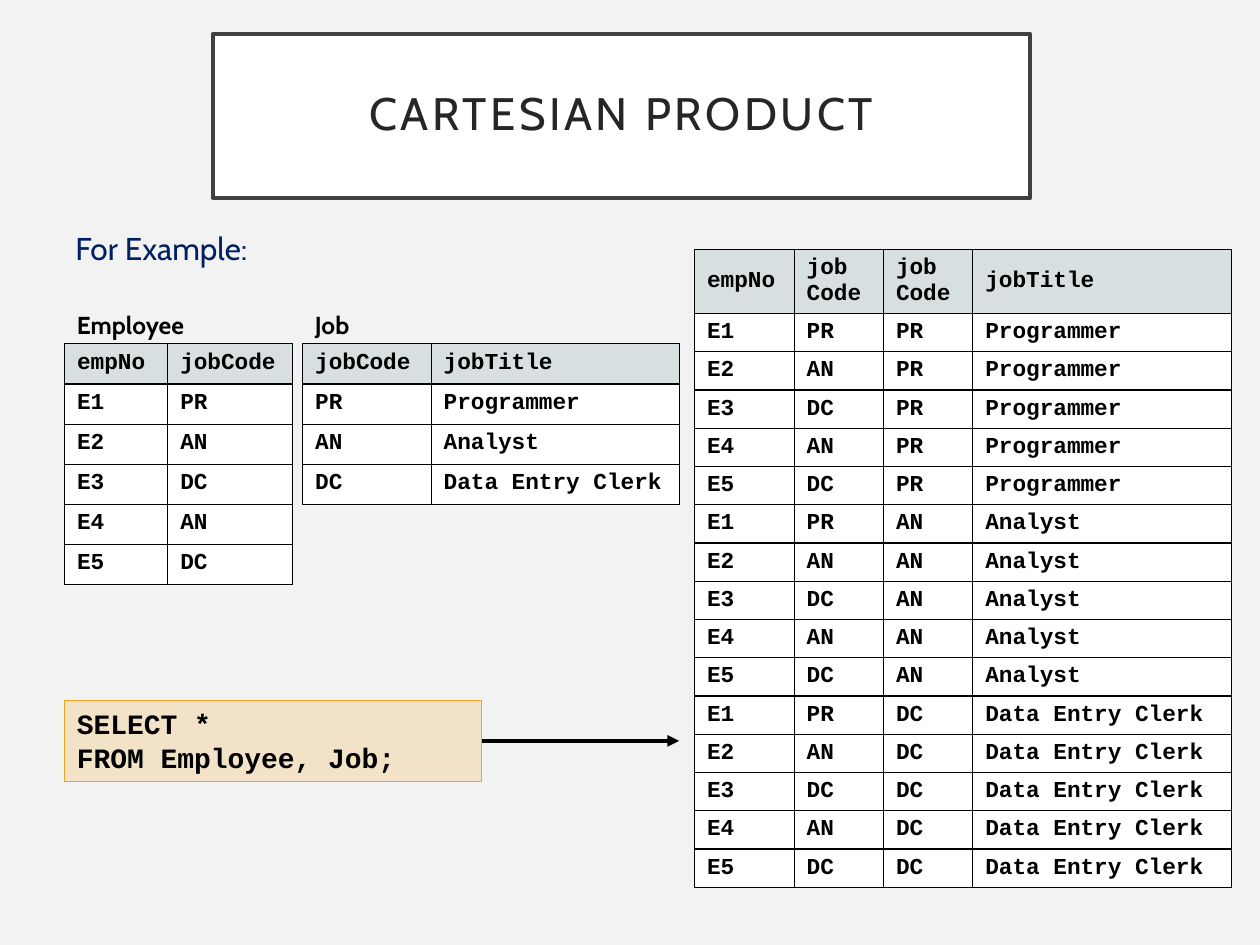
import itertools
from dataclasses import dataclass

import pptx
import pptx.dml.color
import pptx.enum.shapes
import pptx.enum.text
import pptx.oxml
import pptx.oxml.ns
import pptx.util
from pptx.util import Cm, Pt


@dataclass(frozen=True)
class Theme:
    """Colours, fonts and type sizes of the slide."""
    background: str = "F2F2F2"
    white: str = "FFFFFF"
    black: str = "000000"
    title: str = "262626"
    frame: str = "404040"
    heading: str = "002060"
    header: str = "D7DFE1"
    accent: str = "F6A21D"
    sans: str = "Cabin"
    mono: str = "Courier New"
    title_size: int = 26
    heading_size: int = 18
    code_size: int = 16
    label_size: int = 14
    table_size: int = 13


THEME = Theme()
ANCHOR = pptx.enum.text.MSO_ANCHOR
EMPLOYEES = [("E1", "PR"), ("E2", "AN"), ("E3", "DC"), ("E4", "AN"), ("E5", "DC")]
JOBS = [("PR", "Programmer"), ("AN", "Analyst"), ("DC", "Data Entry Clerk")]


def rgb(value):
    """Turn a hex string into a colour."""
    return pptx.dml.color.RGBColor.from_string(value)


def element(xml):
    """Parse a DrawingML fragment whose root carries the a: namespace mark."""
    return pptx.oxml.parse_xml(xml.replace("{ns}", pptx.oxml.ns.nsdecls("a")))


def set_text(tf, text, font, size, color, bold=False):
    """Fill a text frame with evenly formatted paragraphs."""
    tf.text = text
    for p in tf.paragraphs:
        p.font.name, p.font.size, p.font.bold = font, Pt(size), bold
        p.font.color.rgb = rgb(color)


def add_box(slide, box, fill, line, width):
    """Add a flat outlined rectangle."""
    sp = slide.shapes.add_shape(
        pptx.enum.shapes.MSO_SHAPE.RECTANGLE, *map(Cm, box))
    sp.shadow.inherit = False
    sp.fill.solid()
    sp.fill.fore_color.rgb = rgb(fill)
    sp.line.color.rgb = rgb(line)
    sp.line.width = Pt(width)
    return sp


def add_title(slide, box, text):
    """Add the framed slide title."""
    tf = add_box(slide, box, THEME.white, THEME.frame, 2.5).text_frame
    tf.word_wrap = True
    tf.vertical_anchor = ANCHOR.MIDDLE
    set_text(tf, text, THEME.sans, THEME.title_size, THEME.title)
    p = tf.paragraphs[0]
    p.alignment = pptx.enum.text.PP_ALIGN.CENTER
    p.line_spacing = 0.9
    p.runs[0].font._element.set("spc", "200")


def add_label(slide, box, text, size, color, bold=False):
    """Add a line of sans text."""
    tf = slide.shapes.add_textbox(*map(Cm, box)).text_frame
    tf.word_wrap = True
    set_text(tf, text, THEME.sans, size, color, bold)


def style_cell(cell, text, fill, anchor):
    """Write one table cell with thin borders on all sides."""
    set_text(cell.text_frame, text, THEME.mono, THEME.table_size, THEME.black, True)
    cell.vertical_anchor = anchor
    tc_pr = cell._tc.get_or_add_tcPr()
    for side in "LRTB":
        tc_pr.append(element(
            f'<a:ln{side} {{ns}} w="{Pt(0.75)}"><a:solidFill>'
            f'<a:srgbClr val="{THEME.black}"/></a:solidFill></a:ln{side}>'))
    cell.fill.solid()
    cell.fill.fore_color.rgb = rgb(fill)


def add_relation(slide, left, top, widths, header, rows, header_height, row_height):
    """Add a relation as a table with a shaded header row."""
    heights = [header_height] + [row_height] * len(rows)
    table = slide.shapes.add_table(
        len(heights), len(widths), Cm(left), Cm(top),
        Cm(sum(widths)), Cm(sum(heights))).table
    for column, width in zip(table.columns, widths):
        column.width = Cm(width)
    for i, values in enumerate([header, *rows]):
        table.rows[i].height = Cm(heights[i])
        fill, anchor = ((THEME.white, ANCHOR.TOP) if i
                        else (THEME.header, ANCHOR.MIDDLE))
        for j, value in enumerate(values):
            style_cell(table.cell(i, j), value, fill, anchor)


def add_source(slide, left, top, name, widths, header, rows):
    """Add a source relation with its name above it."""
    add_label(slide, (left, top, 3.4, 0.84), name,
              THEME.label_size, THEME.black, True)
    add_relation(slide, left, top + 0.81, widths, header, rows, 0.81, 0.81)


def add_query(slide, box, text, arrow_end):
    """Add the query box and the arrow leading to its result."""
    left, top, width, height = box
    sp = add_box(slide, box, THEME.accent, THEME.accent, 0.75)
    color = sp.fill._xPr.find(".//" + pptx.oxml.ns.qn("a:srgbClr"))
    color.append(element('<a:alpha {ns} val="20000"/>'))
    tf = sp.text_frame
    tf.word_wrap = True
    tf.vertical_anchor = ANCHOR.TOP
    set_text(tf, text, THEME.mono, THEME.code_size, THEME.black, True)
    for p in tf.paragraphs:
        p.alignment = pptx.enum.text.PP_ALIGN.LEFT
    middle = top + height / 2
    line = slide.shapes.add_connector(
        pptx.enum.shapes.MSO_CONNECTOR.STRAIGHT,
        Cm(left + width), Cm(middle), Cm(arrow_end), Cm(middle))
    line.line.color.rgb = rgb(THEME.black)
    line.line.width = Pt(2.25)
    line.line._get_or_add_ln().append(element('<a:tailEnd {ns} type="triangle"/>'))
    line._element.spPr.append(element("<a:effectLst {ns}/>"))


def main():
    """Build the Cartesian product slide."""
    prs = pptx.Presentation()
    prs.slide_width, prs.slide_height = Cm(25.4), Cm(19.05)
    slide = prs.slides.add_slide(prs.slide_layouts[6])
    slide.background.fill.solid()
    slide.background.fill.fore_color.rgb = rgb(THEME.background)

    add_title(slide, (4.29, 0.69, 16.48, 3.3), "CARTESIAN PRODUCT")
    product = [emp + job for job, emp in itertools.product(JOBS, EMPLOYEES)]
    add_relation(slide, 14, 5.03, (2.01, 1.8, 1.8, 5.21),
                 ("empNo", "job\nCode", "job\nCode", "jobTitle"),
                 product, 1.29, 0.77)
    add_label(slide, (1.27, 4.5, 12.04, 1.02), "For Example:",
              THEME.heading_size, THEME.heading)
    add_source(slide, 1.3, 6.12, "Employee", (2.08, 2.51),
               ("empNo", "jobCode"), EMPLOYEES)
    add_source(slide, 6.1, 6.12, "Job", (2.59, 5),
               ("jobCode", "jobTitle"), JOBS)
    add_query(slide, (1.3, 14.12, 8.41, 1.63),
              "SELECT *\nFROM Employee, Job;", 13.69)
    prs.save("out.pptx")


if __name__ == "__main__":
    main()
